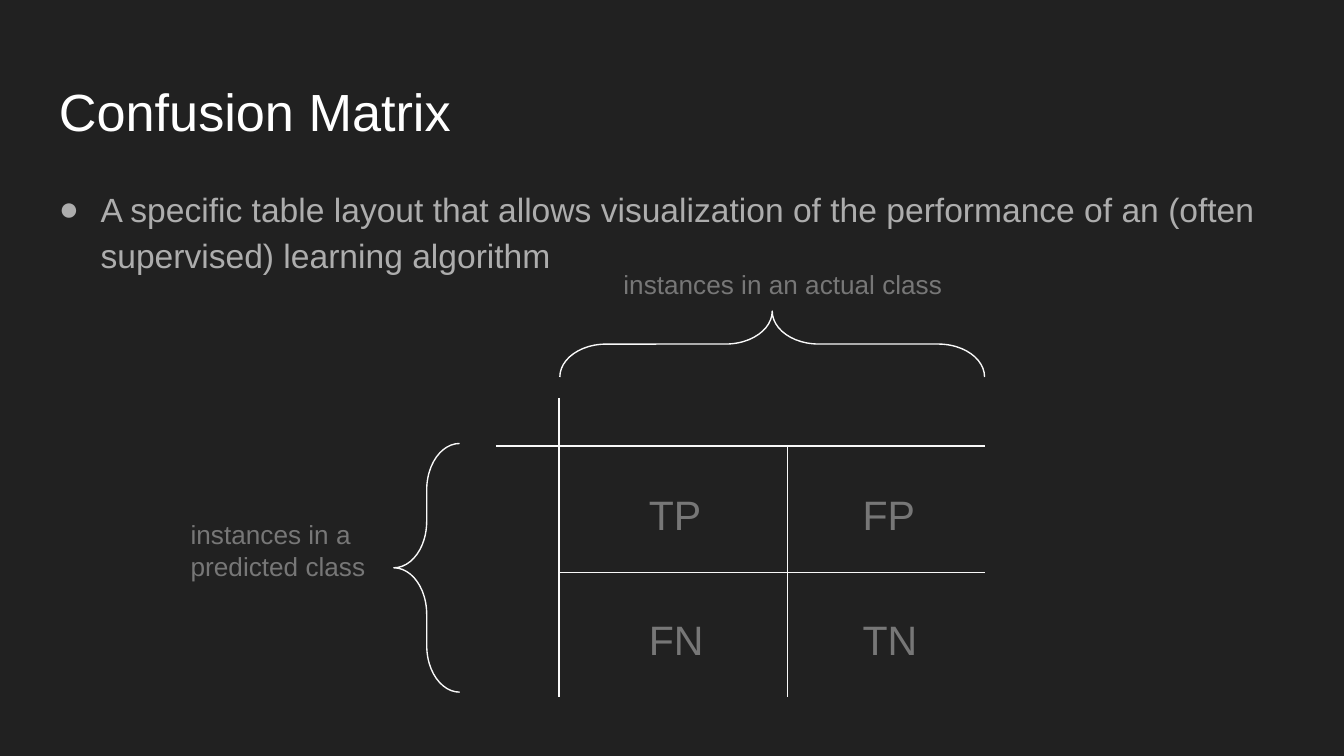
import pptx
import pptx.util
import pptx.dml.color
import pptx.enum.shapes
import pptx.enum.text
import pptx.oxml.ns
from lxml import etree

Inches, Pt = pptx.util.Inches, pptx.util.Pt
WHITE, LINE, BODY, LABEL = "FFFFFF", "F9F9F9", "ADADAD", "777777"


def rgb(value):
    return pptx.dml.color.RGBColor.from_string(value)


def sub(parent, tag, **attrs):
    return etree.SubElement(parent, pptx.oxml.ns.qn(tag), **attrs)


class Deck:
    font = "Arial"
    line_width = 0.75

    def __init__(self, width, background):
        self.prs = pptx.Presentation()
        self.prs.slide_width = Inches(width)
        self.prs.slide_height = Inches(width) * 9 // 16  # widescreen 16:9
        self.s = self.prs.slides.add_slide(self.prs.slide_layouts[6])
        self.s.background.fill.solid()
        self.s.background.fill.fore_color.rgb = rgb(background)

    def text(self, x, y, w, h, lines, size, color, inset=0.05, wrap=True):
        sp = self.s.shapes.add_textbox(Inches(x), Inches(y), Inches(w), Inches(h))
        tf = sp.text_frame
        tf.word_wrap = wrap
        tf.vertical_anchor = pptx.enum.text.MSO_ANCHOR.TOP
        tf.margin_left = tf.margin_right = Inches(0.1)
        tf.margin_top = tf.margin_bottom = Inches(inset)
        for i, line in enumerate(lines):
            p = tf.add_paragraph() if i else tf.paragraphs[0]
            r = p.add_run()
            r.text = line
            r.font.name, r.font.size = self.font, Pt(size)
            r.font.color.rgb = rgb(color)
        return tf

    def bullet(self, p, color, indent):
        pPr = p._p.get_or_add_pPr()
        pPr.set("marL", str(Inches(indent)))
        pPr.set("indent", str(-Inches(indent)))
        sub(sub(pPr, "a:buClr"), "a:srgbClr", val=color)
        sub(pPr, "a:buFont", typeface=self.font)
        sub(pPr, "a:buChar", char="●")

    def tab_stop(self, p, position):
        tabs = sub(p._p.get_or_add_pPr(), "a:tabLst")
        sub(tabs, "a:tab", pos=str(Inches(position)), algn="l")

    def stroke(self, sp):
        sp.line.color.rgb = rgb(LINE)
        sp.line.width = Pt(self.line_width)

    def line(self, x1, y1, x2, y2):
        c = self.s.shapes.add_connector(
            pptx.enum.shapes.MSO_CONNECTOR.STRAIGHT,
            Inches(x1), Inches(y1), Inches(x2), Inches(y2))
        self.stroke(c)
        sub(c._element.spPr, "a:effectLst")

    def brace(self, x, y, w, h, rotation=0):
        sp = self.s.shapes.add_shape(
            pptx.enum.shapes.MSO_SHAPE.LEFT_BRACE,
            Inches(x), Inches(y), Inches(w), Inches(h))
        sp.adjustments[0], sp.adjustments[1] = 0.706, 0.5
        sp.rotation = rotation
        sp.shadow.inherit = False
        sp.fill.background()
        self.stroke(sp)


deck = Deck(10, "212121")

# Title and definition
deck.text(0.34, 0.49, 9.32, 0.63, ["Confusion Matrix"], 28, WHITE, inset=0.1)
tf = deck.text(0.34, 1.26, 9.32, 0.97,
               ["A specific table layout that allows visualization of the "
                "performance of an (often supervised) learning algorithm"],
               18, BODY, inset=0.1)
p = tf.paragraphs[0]
p.line_spacing, p.space_after = 1.15, Pt(16)
deck.bullet(p, BODY, 0.31)

# Matrix grid
left, middle, right = 4.16, 5.86, 7.33
top, centre, bottom = 3.32, 4.26, 5.19
for x, y in ((left, 2.96), (middle, top)):
    deck.line(x, y, x, bottom)
for x, y in ((3.69, top), (left, centre)):
    deck.line(x, y, right, y)

# Braces and their labels
deck.brace(2.93, 3.3, 0.49, 1.85)
deck.text(1.32, 3.81, 1.51, 0.57, ["instances in a", "predicted class"], 14, LABEL)
deck.brace(5.5, 0.98, 0.49, 3.16, rotation=90)
deck.text(4.54, 1.95, 2.59, 0.34, ["instances in an actual class"], 14, LABEL, wrap=False)

# Matrix cells, one box per row
for row, cells in enumerate((("TP", "FP"), ("FN", "TN"))):
    tf = deck.text(4.73, 3.59 + row * 0.93, 2.4, 0.47, ["\t".join(cells)], 22, LABEL)
    deck.tab_stop(tf.paragraphs[0], 1.59)

deck.prs.save("out.pptx")
